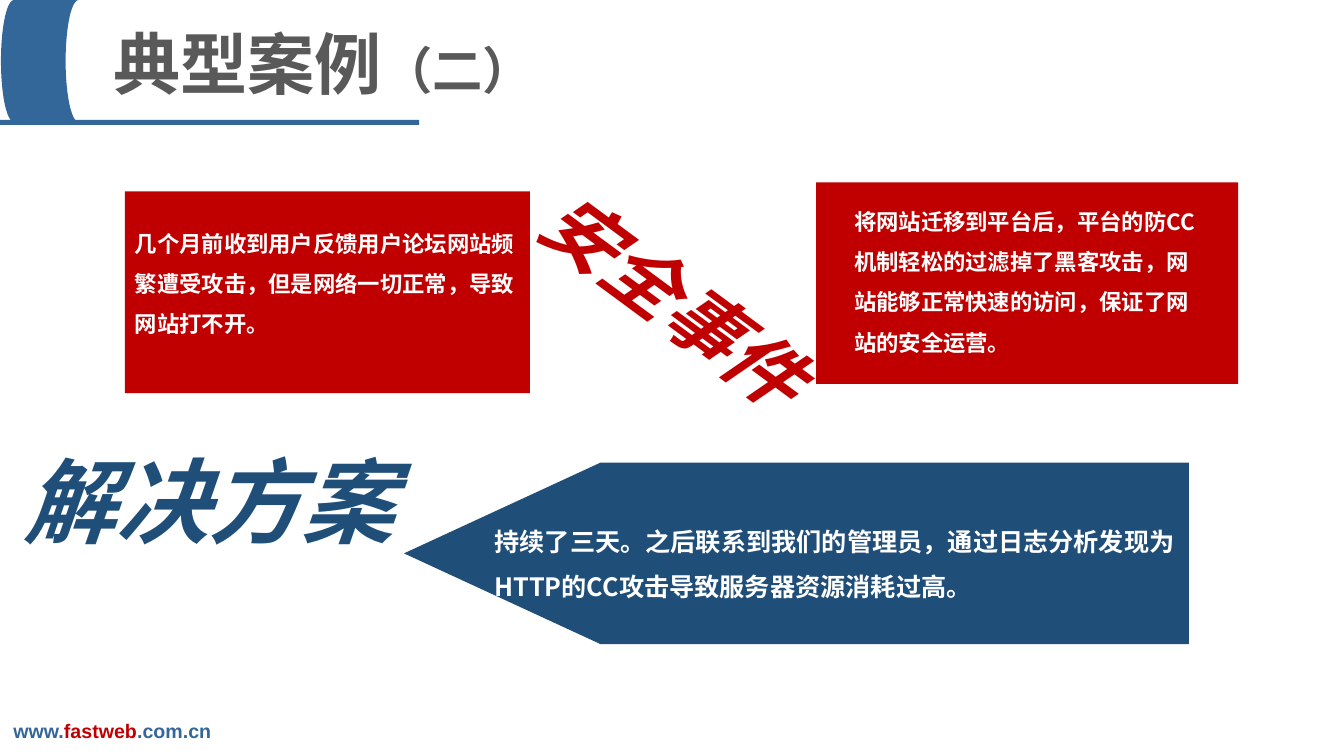
from pptx import Presentation
from pptx.dml.color import RGBColor
from pptx.enum.shapes import MSO_SHAPE as Shape
from pptx.enum.text import PP_ALIGN as Align
from pptx.oxml.ns import qn
from pptx.util import Inches, Pt
from lxml import etree

BLUE, RED, NAVY, GREY, WHITE = "336699", "C00000", "1F4E79", "595959", "FFFFFF"
CJK = "Noto Sans CJK SC"


def rgb(value):
    return RGBColor.from_string(value)


def paint(shape, color):
    shape.shadow.inherit = False
    shape.fill.solid()
    shape.fill.fore_color.rgb = rgb(color)
    shape.line.fill.background()


deck = Presentation()
deck.slide_width, deck.slide_height = Inches(13.34), Inches(7.5)
slide = deck.slides.add_slide(deck.slide_layouts[6])

blocks = [
    (Shape.FLOWCHART_STORED_DATA, (0.01, 0, 0.77, 1.21), BLUE),
    (Shape.RECTANGLE, (0, 1.19, 4.16, 0.05), BLUE),
    (Shape.RECTANGLE, (1.24, 1.9, 4.02, 2), RED),
    (Shape.RECTANGLE, (8.1, 1.81, 4.19, 2), RED),
]
for preset, place, color in blocks:
    paint(slide.shapes.add_shape(preset, *map(Inches, place)), color)

left, shoulder, right = 4.01, 5.96, 11.8
top, middle, bottom = 4.59, 5.49, 6.39
outline = [(shoulder, top), (left, middle), (shoulder, bottom), (right, bottom)]
solution_arrow = slide.shapes.build_freeform(Inches(right), Inches(top))
solution_arrow.add_line_segments([(Inches(x), Inches(y)) for x, y in outline], close=True)
paint(solution_arrow.convert_to_shape(), NAVY)

heading = {"alignment": Align.CENTER}
label = {"alignment": Align.LEFT}
body = {"alignment": Align.LEFT, "line_spacing": 1.5}
texts = [
    ((0.02, 7.08, 2.19, 0.34), 0, False, heading, "Arial",
     [("www.", 14, BLUE), ("fastweb", 14, RED), (".com.cn", 14, BLUE)]),
    ((5.01, 2.46, 3.36, 1), 36.4, True, heading, "Arial Narrow",
     [("安全事件", 54, RED)]),
    ((0.14, 4.36, 4.1, 1.2), 0, True, label, "Arial Narrow",
     [("解决方案", 66, NAVY)]),
    ((1.01, 0.17, 4.4, 0.9), 0, False, heading, CJK,
     [("典型案例", 48, GREY), ("（二）", 36, GREY)]),
    ((1.24, 2.1, 4.03, 1.3), 0, True, body, CJK,
     [("几个月前收到用户反馈用户论坛网站频繁遭受攻击，但是网络一切正常，导致网站打不开。", 16, WHITE)]),
    ((4.81, 5.02, 7.17, 1), 0, True, body, CJK,
     [("持续了三天。之后联系到我们的管理员，通过日志分析发现为HTTP的CC攻击导致服务器资源消耗过高。", 18, WHITE)]),
    ((8.38, 1.88, 3.63, 1.7), 0, True, body, CJK,
     [("将网站迁移到平台后，平台的防CC机制轻松的过滤掉了黑客攻击，网站能够正常快速的访问，保证了网站的安全运营。", 16, WHITE)]),
]
for place, angle, wrap, layout, typeface, runs in texts:
    box = slide.shapes.add_textbox(*map(Inches, place))
    box.rotation = angle
    box.text_frame.word_wrap = wrap
    paragraph = box.text_frame.paragraphs[0]
    for key, value in layout.items():
        setattr(paragraph, key, value)
    for words, size, color in runs:
        run = paragraph.add_run()
        run.text = words
        style = {"size": Pt(size), "bold": True, "name": typeface,
                 "italic": typeface == "Arial Narrow"}
        for key, value in style.items():
            setattr(run.font, key, value)
        run.font.color.rgb = rgb(color)
        etree.SubElement(run.font._element, qn("a:ea"), typeface=CJK)

deck.save("out.pptx")
